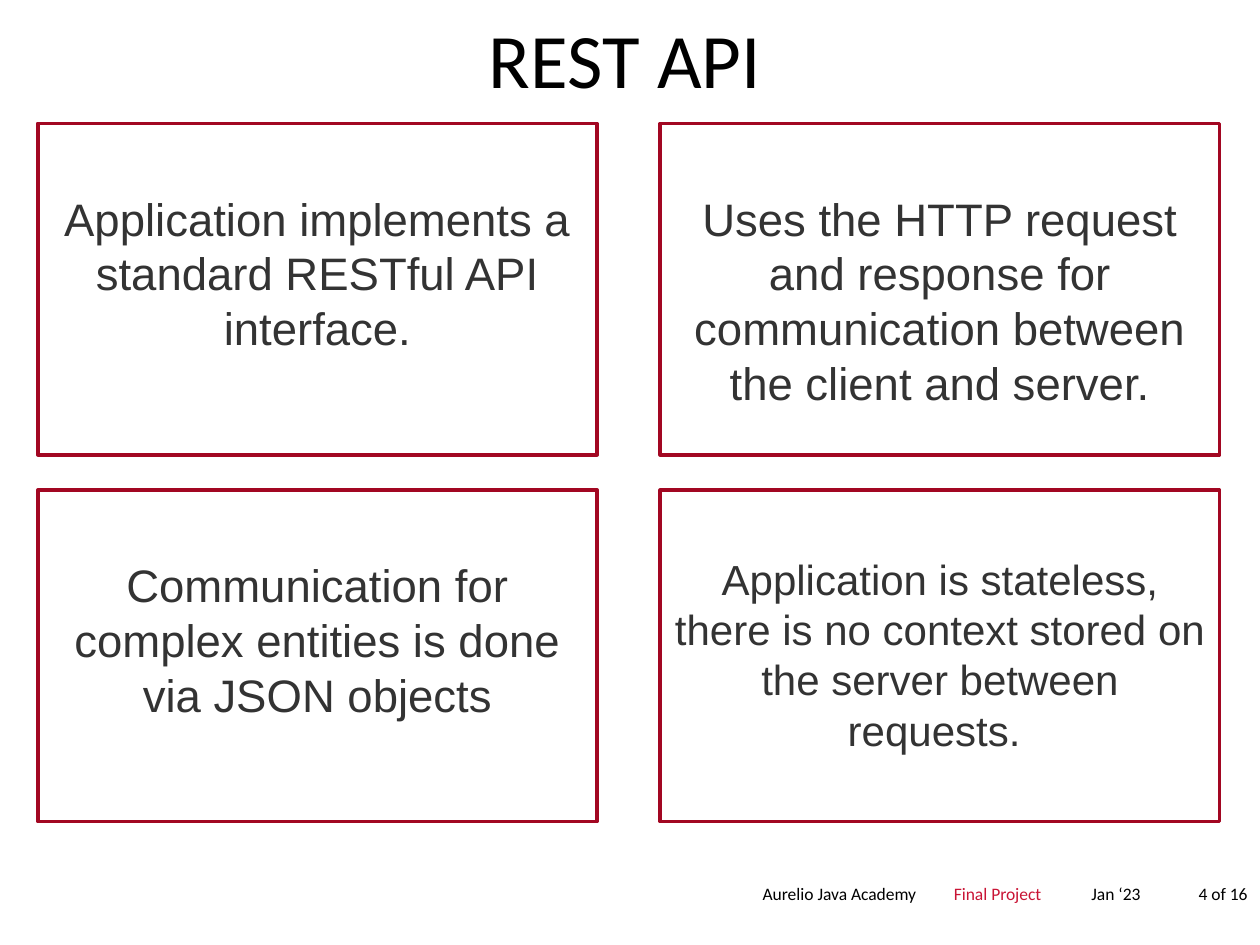
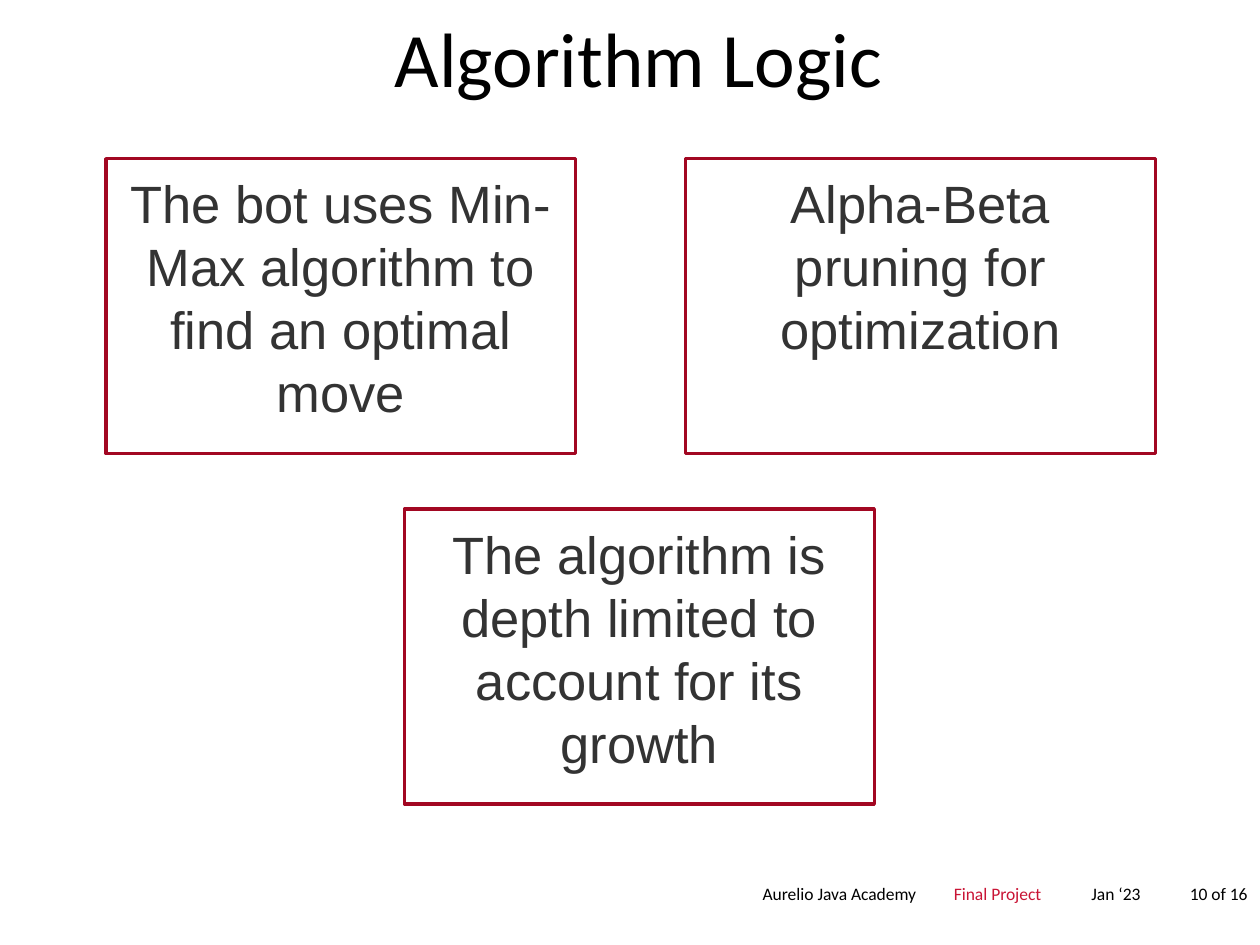
from pptx import Presentation
from pptx.dml.color import RGBColor as RGB
from pptx.enum.shapes import MSO_SHAPE as Shape
from pptx.enum.text import MSO_ANCHOR as Anchor, MSO_AUTO_SIZE as AutoSize, PP_ALIGN as Align
from pptx.util import Inches, Pt

COLORS = {"black": "000000", "accent": "C91435", "border": "A20722",
          "card": "FFFFFF", "body": "333333"}
HEAD_FONT, BODY_FONT = "Calibri", "Arial"
COLS, ROWS = 100, 75
PAGE_COUNT = 16
TITLE_ONLY = 5
INSET = 0.1
LINE_RATIO = 1.2

# text, left column, width in columns, alignment, colour, left inset
FOOTER = [
    ("Aurelio Java Academy ", 50.8, 23.2, Align.RIGHT, "black", INSET),
    ("Final Project", 72.2, 11.8, Align.LEFT, "accent", 0.35),
    ("Jan ‘23", 82.5, 9, Align.RIGHT, "black", INSET),
]


class Deck:
    def __init__(self):
        self.prs = Presentation()
        self.prs.slide_width, self.prs.slide_height = Inches(10), Inches(7.5)
        self.slide = None

    def box(self, col, row, cols, rows):
        """Turn grid units into left, top, width and height."""
        dx, dy = self.prs.slide_width / COLS, self.prs.slide_height / ROWS
        return [round(v) for v in (col * dx, row * dy, cols * dx, rows * dy)]

    def add_text(self, sp, text, size, font, color, align, spacing,
                 anchor=Anchor.MIDDLE, left=INSET, top=INSET):
        tf = sp.text_frame
        tf.word_wrap, tf.auto_size = True, AutoSize.NONE
        tf.vertical_anchor = anchor
        tf.margin_left, tf.margin_top = Inches(left), Inches(top)
        tf.margin_right = tf.margin_bottom = Inches(INSET)
        p = tf.paragraphs[0]
        p.alignment, p.line_spacing = align, spacing
        r = p.add_run()
        r.text = text
        r.font.size, r.font.name = Pt(size), font
        r.font.color.rgb = RGB.from_string(COLORS[color])

    def new_slide(self, title, place, align, page):
        layout = self.prs.slide_layouts[TITLE_ONLY]
        self.slide = self.prs.slides.add_slide(layout)
        sp = self.slide.shapes.title
        sp.left, sp.top, sp.width, sp.height = self.box(*place)
        self.add_text(sp, title, 44, HEAD_FONT, "black", align, 0.9)
        self.footer(page)

    def footer(self, page):
        number = (f"{page} of {PAGE_COUNT}", 90.1, 9.9, Align.RIGHT, "black", INSET)
        for text, col, cols, align, color, left in [*FOOTER, number]:
            sp = self.slide.shapes.add_textbox(*self.box(col, 69, cols, 4))
            self.add_text(sp, text, 10, HEAD_FONT, color, align, 0.9, left=left)

    def card(self, text, place, size, lines_above=0):
        """Draw a bordered card whose text starts some lines below its top."""
        sp = self.slide.shapes.add_shape(Shape.RECTANGLE, *self.box(*place))
        sp.shadow.inherit = False
        sp.fill.solid()
        sp.fill.fore_color.rgb = RGB.from_string(COLORS["card"])
        sp.line.color.rgb = RGB.from_string(COLORS["border"])
        sp.line.width = Pt(2)
        line = size * LINE_RATIO
        self.add_text(sp, text, size, BODY_FONT, "body", Align.CENTER, Pt(line),
                      Anchor.TOP, top=INSET + lines_above * line / 72)


def rest_api(deck):
    deck.new_slide("REST API", (37.8, 1.8, 24.3, 6.5), Align.LEFT, 4)
    cards = [
        ("Application implements a standard RESTful API interface.", 26),
        ("Uses the HTTP request and response for communication between "
         "the client and server.", 26),
        ("Communication for complex entities is done via JSON objects", 26),
        ("Application is stateless, there is no context stored on the server "
         "between requests. ", 24),
    ]
    for i, (text, size) in enumerate(cards):
        row, col = divmod(i, 2)
        place = (3 + col * 49.4, 9.8 + row * 29.1, 44.4, 26.3)
        deck.card(text, place, size, lines_above=1)


def algorithm_logic(deck):
    deck.new_slide("Algorithm Logic", (7.6, 1.7, 86.2, 6.5), Align.CENTER, 10)
    cards = [
        ("The bot uses Min-Max algorithm to find an optimal move", 8.4, 12.6),
        ("Alpha-Beta pruning for optimization", 54.4, 12.6),
        ("The algorithm is depth limited to account for its growth", 32.1, 40.4),
    ]
    for text, col, row in cards:
        deck.card(text, (col, row, 37.3, 23.4), 30)


def main():
    deck = Deck()
    rest_api(deck)
    algorithm_logic(deck)
    deck.prs.save("out.pptx")


if __name__ == "__main__":
    main()
